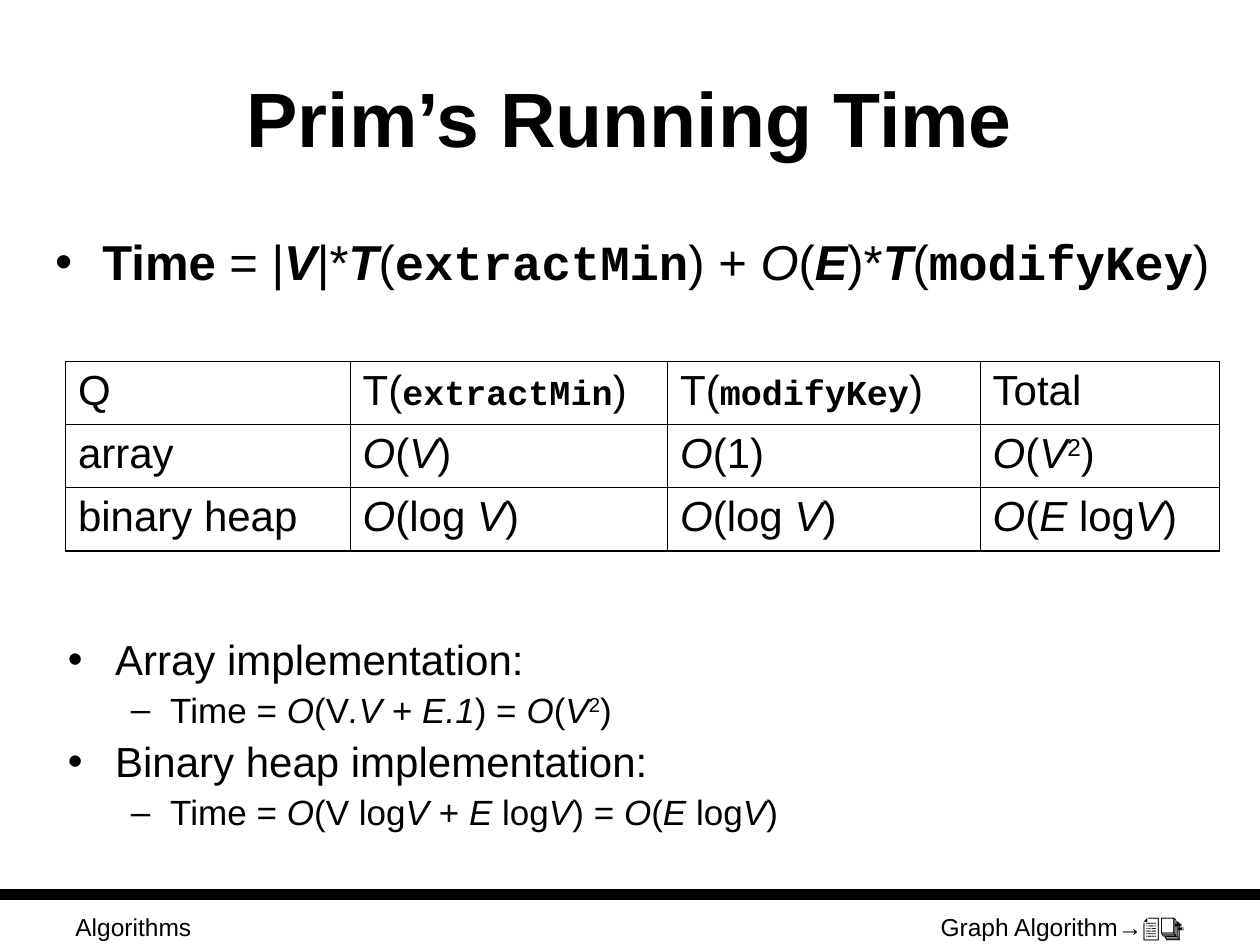
import itertools

import pptx
import pptx.dml.color
import pptx.enum.shapes
import pptx.enum.text
import pptx.oxml.ns
import pptx.util
from lxml import etree

Pt = pptx.util.Pt
ALIGN = pptx.enum.text.PP_ALIGN
ANCHOR = pptx.enum.text.MSO_ANCHOR
COLORS = {"ink": "000000", "paper": "FFFFFF"}
BULLETS = {
    0: {"char": "•", "left": 27, "hang": -27, "size": 24, "before": 6},
    1: {"char": "–", "left": 58.5, "hang": -22.5, "size": 20, "before": 5},
}


def rgb(name):
    """Return the palette colour of that name."""
    return pptx.dml.color.RGBColor.from_string(COLORS[name])


def add_tag(parent, tag, **attrs):
    """Append a drawing element with attributes and return it."""
    el = etree.SubElement(parent, pptx.oxml.ns.qn(tag))
    for key, value in attrs.items():
        el.set(key, str(value))
    return el


def write(p, text, size=24, mono_size=None, bold=False, align=None):
    """Write text where _ toggles italic, # bold, ` bold code and ^ superscript."""
    p.alignment = align
    on = dict.fromkeys("_#`^", False)
    for marked, chars in itertools.groupby(text, lambda c: c in on):
        chunk = "".join(chars)
        if marked:
            for mark in chunk:
                on[mark] = not on[mark]
            continue
        r = p.add_run()
        r.text = chunk
        r.font.name = "Courier New" if on["`"] else "Arial"
        r.font.size = Pt(mono_size if on["`"] and mono_size else size)
        r.font.bold = bold or on["#"] or on["`"]
        r.font.italic = on["_"]
        r.font.color.rgb = rgb("ink")
        if on["^"]:
            r.font._element.set("baseline", "30000")


def add_text_frame(s, box, anchor=ANCHOR.TOP):
    """Add a wrapping text box and return its text frame."""
    tf = s.shapes.add_textbox(*map(Pt, box)).text_frame
    tf.word_wrap = True
    tf.vertical_anchor = anchor
    return tf


def set_bullet(p, level):
    """Give a paragraph the bullet and indent of its level."""
    rule = BULLETS[level]
    p.level = level
    pPr = p._p.get_or_add_pPr()
    pPr.set("marL", str(Pt(rule["left"])))
    pPr.set("indent", str(Pt(rule["hang"])))
    add_tag(add_tag(pPr, "a:buClr"), "a:srgbClr", val=COLORS["ink"])
    add_tag(pPr, "a:buFont", typeface="Arial")
    add_tag(pPr, "a:buChar", char=rule["char"])


def add_title(s, box, text):
    """Add the centred slide title."""
    tf = add_text_frame(s, box, ANCHOR.MIDDLE)
    write(tf.paragraphs[0], text, size=44, bold=True, align=ALIGN.CENTER)


def add_bullets(s, box, items, size=None, spacing=None):
    """Add a bulleted list of (level, text) items."""
    tf = add_text_frame(s, box)
    for i, (level, text) in enumerate(items):
        p = tf.add_paragraph() if i else tf.paragraphs[0]
        set_bullet(p, level)
        p.line_spacing = spacing
        if i:
            p.space_before = Pt(BULLETS[level]["before"])
        write(p, text, size=size or BULLETS[level]["size"])


def set_borders(cell, widths):
    """Draw the left, right, top and bottom borders of a cell."""
    tcPr = cell._tc.get_or_add_tcPr()
    for i, (side, width) in enumerate(zip("LRTB", widths)):
        ln = etree.Element(pptx.oxml.ns.qn(f"a:ln{side}"), w=str(Pt(width)))
        add_tag(add_tag(ln, "a:solidFill"), "a:srgbClr", val=COLORS["ink"])
        tcPr.insert(i, ln)


def add_cost_table(s, box, widths, rows):
    """Add the table of costs, with a heavier outer frame."""
    n_rows, n_cols = len(rows), len(widths)
    table = s.shapes.add_table(n_rows, n_cols, *map(Pt, box)).table
    table.first_row = table.horz_banding = False
    for col, width in zip(table.columns, widths):
        col.width = Pt(width)
    for i, row in enumerate(rows):
        table.rows[i].height = Pt(box[3] / n_rows)
        for j, text in enumerate(row):
            cell = table.cell(i, j)
            cell.fill.background()
            edges = (j == 0, j == n_cols - 1, i == 0, i == n_rows - 1)
            set_borders(cell, [1.08 if edge else 0.45 for edge in edges])
            write(cell.text_frame.paragraphs[0], text, mono_size=20)


def add_footer(s, box, left_text, right_text):
    """Add the rule across the slide and the two footer texts under it."""
    x, y, w, h = box
    rule = s.shapes.add_connector(
        pptx.enum.shapes.MSO_CONNECTOR.STRAIGHT, Pt(x), Pt(y), Pt(x + w), Pt(y))
    rule.line.color.rgb = rgb("ink")
    rule.line.width = Pt(6)
    add_tag(rule._element.spPr, "a:effectLst")
    margin, text_w, drop = 36, 168, 6.5
    for left, text, align in (
            (x + margin, left_text, ALIGN.LEFT),
            (x + w - margin - text_w, right_text, ALIGN.RIGHT)):
        tf = add_text_frame(s, (left, y + drop, text_w, h - drop))
        write(tf.paragraphs[0], text, size=14, align=align)


def main():
    """Build the slide and save it."""
    prs = pptx.Presentation()
    prs.slide_width, prs.slide_height = Pt(720), Pt(540)
    s = prs.slides.add_slide(prs.slide_layouts[6])
    s.background.fill.solid()
    s.background.fill.fore_color.rgb = rgb("paper")
    add_footer(s, (0, 511.2, 720, 44), "Algorithms", "Graph Algorithm→📄📑")
    add_title(s, (36, 21.6, 648, 90), "Prim’s Running Time")
    add_bullets(s, (24.5, 129, 687, 42), [
        (0, "#Time# = |#_V_#|*#_T_#(`extractMin`) + _O_(#_E_#)*#_T_#(`modifyKey`)"),
    ], size=28)
    add_cost_table(s, (37.4, 206.6, 659.5, 108), (162.7, 181.4, 178.6, 136.8), [
        ("Q", "T(`extractMin`)", "T(`modifyKey`)", "Total"),
        ("array", "_O_(_V_)", "_O_(1)", "_O_(_V_^2^)"),
        ("binary heap", "_O_(log_ V_)", "_O_(log _V_)", "_O_(_E_ log_V_)"),
    ])
    add_bullets(s, (31.7, 361.5, 658, 119.5), [
        (0, "Array implementation:"),
        (1, "Time = _O_(V_.V _+ _E.1_) = _O_(_V_^2^)"),
        (0, "Binary heap implementation:"),
        (1, "Time = _O_(V log_V _+ _E _log_V_) = _O_(_E _log_V_)"),
    ], spacing=0.9)
    prs.save("out.pptx")


if __name__ == "__main__":
    main()
